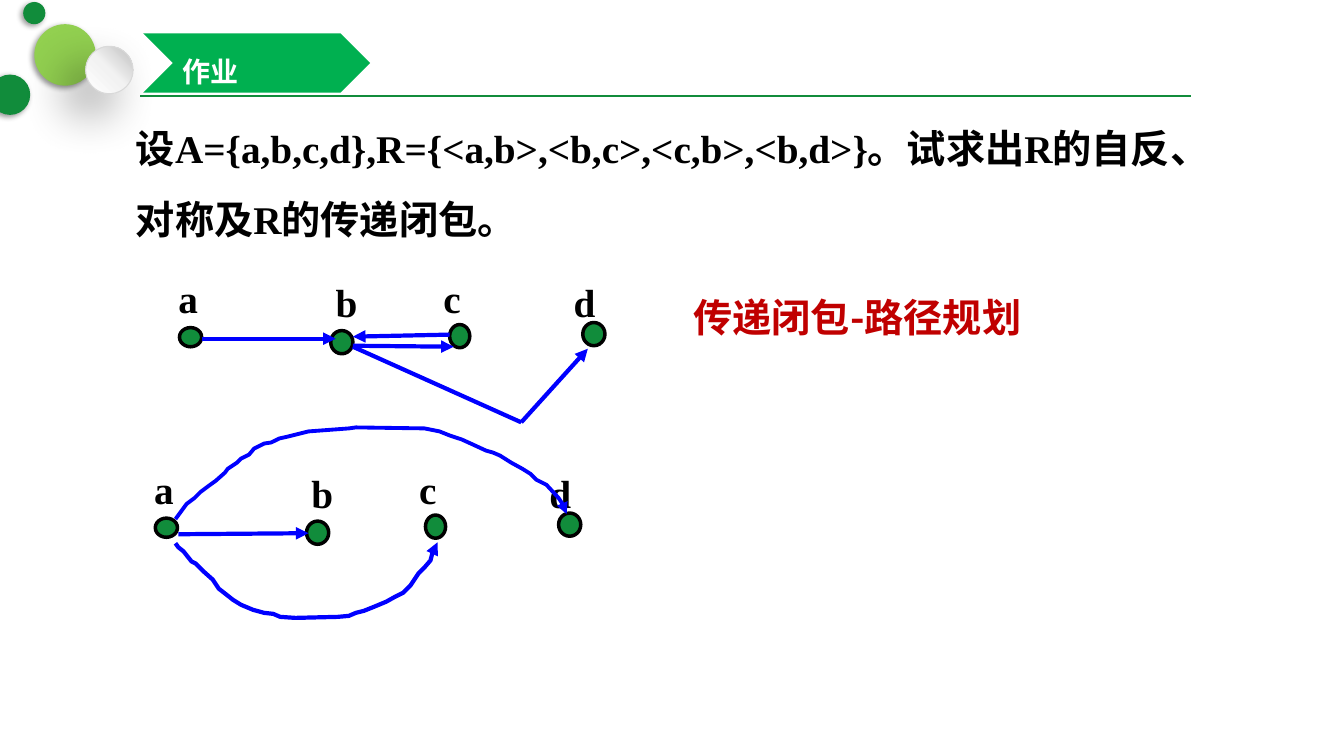
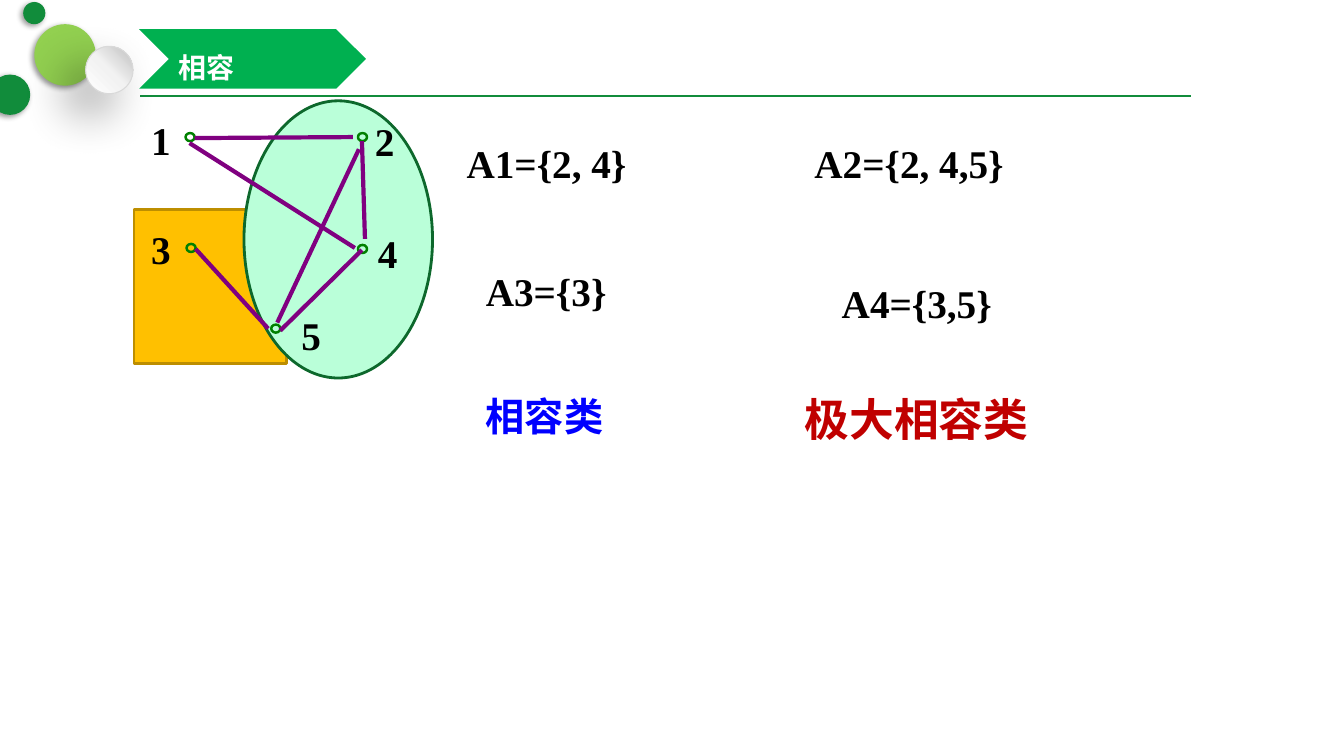
import pptx
import pptx.dml.color
import pptx.enum.shapes
import pptx.enum.text
import pptx.oxml
import pptx.oxml.ns
import pptx.util

Inches = pptx.util.Inches
Pt = pptx.util.Pt
RGBColor = pptx.dml.color.RGBColor
MSO_SHAPE = pptx.enum.shapes.MSO_SHAPE
qn = pptx.oxml.ns.qn

GREEN = RGBColor(0x11, 0x8C, 0x3B)
LIME = RGBColor(0x92, 0xD0, 0x50)
BANNER = RGBColor(0x00, 0xB0, 0x50)
RING = RGBColor(0x00, 0x80, 0x00)
MINT = RGBColor(0xBA, 0xFF, 0xD9)
DARK_GREEN = RGBColor(0x0D, 0x68, 0x2C)
AMBER = RGBColor(0xFF, 0xC0, 0x00)
DARK_AMBER = RGBColor(0xBD, 0x8E, 0x00)
SILVER = RGBColor(0xD9, 0xD9, 0xD9)
BLUE = RGBColor(0x00, 0x00, 0xFF)
PURPLE = RGBColor(0x80, 0x00, 0x80)
RED = RGBColor(0xC0, 0x00, 0x00)
BLACK = RGBColor(0x00, 0x00, 0x00)
WHITE = RGBColor(0xFF, 0xFF, 0xFF)

SERIF = "Times New Roman"
HAN = "Noto Sans CJK SC"
BALL_STOPS = ((0, "FFFFFF"), (50000, "F2F2F2"), (100000, "BFBFBF"))


# XML helpers
def add_child(parent, tag, **attrs):
    el = parent.makeelement(qn(tag), attrs)
    parent.append(el)
    return el


def add_arrowhead(line):
    add_child(line._get_or_add_ln(), "a:tailEnd", type="triangle")


def cast_shadow(sp, blur, dist):
    effects = sp._element.spPr.find(qn("a:effectLst"))
    shadow = add_child(effects, "a:outerShdw", blurRad=str(Pt(blur)),
                       dist=str(Pt(dist)), dir="8100000", algn="tr",
                       rotWithShape="0")
    colour = add_child(shadow, "a:srgbClr", val="000000")
    add_child(colour, "a:alpha", val="40000")


def fill_gradient(sp, stops):
    sp.fill.gradient()
    sp.fill.gradient_angle = 45
    gs_list = sp._element.spPr.find(".//" + qn("a:gsLst"))
    for gs in list(gs_list):
        gs_list.remove(gs)
    for pos, colour in stops:
        add_child(add_child(gs_list, "a:gs", pos=str(pos)),
                  "a:srgbClr", val=colour)


# Element kinds
def add_shape(s, kind, box, fill=None, line=None, width=1):
    sp = s.shapes.add_shape(kind, *map(Inches, box))
    sp.shadow.inherit = False
    if fill is None:
        sp.fill.background()
    else:
        sp.fill.solid()
        sp.fill.fore_color.rgb = fill
    if line is None:
        sp.line.fill.background()
    else:
        sp.line.color.rgb = line
        sp.line.width = Pt(width)
    return sp


def write(tf, text, size=28, font=SERIF, color=BLACK, spacing=1.5):
    p = tf.paragraphs[0]
    p.alignment = pptx.enum.text.PP_ALIGN.LEFT
    p.line_spacing = spacing
    r = p.add_run()
    r.text = text
    r.font.size = Pt(size)
    r.font.bold = True
    r.font.color.rgb = color
    r.font.name = font
    add_child(r._r.get_or_add_rPr(), "a:ea", typeface=HAN)


def add_text(s, box, text, wrap=False, **style):
    tf = s.shapes.add_textbox(*map(Inches, box)).text_frame
    tf.word_wrap = wrap
    write(tf, text, **style)


def add_line(s, start, end, color, width=3, arrow=False):
    cx = s.shapes.add_connector(pptx.enum.shapes.MSO_CONNECTOR.STRAIGHT,
                                *map(Inches, start + end))
    cx.line.color.rgb = color
    cx.line.width = Pt(width)
    if arrow:
        add_arrowhead(cx.line)
    add_child(cx._element.spPr, "a:effectLst")


def add_curved_arrow(s, points, width):
    pts = [(Inches(x), Inches(y)) for x, y in points]
    builder = s.shapes.build_freeform(*pts[0], scale=1.0)
    builder.add_line_segments(pts[1:], close=False)
    sp = builder.convert_to_shape()
    sp.shadow.inherit = False
    sp.fill.background()
    sp.line.color.rgb = BLUE
    sp.line.width = Pt(width)
    add_arrowhead(sp.line)


def add_vertices(s, dx=0, dy=0):
    """Four labelled vertices a to d, moved by dx and dy."""
    for label, x, y, w, h, tx, ty, tw in (
            ("a", 1.78, 3.25, 0.22, 0.19, 1.67, 2.44, 0.40),
            ("b", 3.28, 3.28, 0.22, 0.23, 3.23, 2.48, 0.42),
            ("c", 4.46, 3.22, 0.20, 0.23, 4.30, 2.44, 0.37),
            ("d", 5.78, 3.20, 0.22, 0.23, 5.59, 2.48, 0.42)):
        add_shape(s, MSO_SHAPE.OVAL, (x + dx, y + dy, w, h), GREEN, BLACK, 2.5)
        add_text(s, (tx + dx, ty + dy, tw, 0.73), label)


# Shared decoration and title
def add_base_slide(prs):
    s = prs.slides.add_slide(prs.slide_layouts[6])
    add_line(s, (1.39, 0.95), (11.81, 0.95), GREEN, 1.25)
    for x, y, d, fill in ((0.34, 0.24, 0.61, LIME), (-0.1, 0.74, 0.4, GREEN),
                          (0.85, 0.46, 0.47, None), (0.23, 0.02, 0.22, GREEN)):
        sp = add_shape(s, MSO_SHAPE.OVAL, (x, y, d, d), fill)
        if fill is None:
            fill_gradient(sp, BALL_STOPS)
            sp.line.color.rgb = SILVER
            sp.line.width = Pt(0.75)
            cast_shadow(sp, 35, 20)
        else:
            cast_shadow(sp, 4, 2)
    return s


def add_title(s, x, y, text):
    sp = add_shape(s, MSO_SHAPE.CHEVRON, (x, y, 2.25, 0.59), BANNER)
    sp.text_frame.vertical_anchor = pptx.enum.text.MSO_ANCHOR.MIDDLE
    write(sp.text_frame, text, size=20, font=HAN, color=WHITE)


# Slides
def add_homework_slide(prs):
    s = add_base_slide(prs)
    add_text(s, (1.25, 0.95, 10.92, 1.45),
             "设A={a,b,c,d},R={<a,b>,<b,c>,<c,b>,<b,d>}。"
             "试求出R的自反、对称及R的传递闭包。", wrap=True)

    # Relation R
    add_vertices(s)
    for start, end, arrow in (((2, 3.36), (3.33, 3.36), True),
                              ((3.5, 3.43), (4.5, 3.44), True),
                              ((4.46, 3.32), (3.5, 3.34), True),
                              ((3.5, 3.44), (5.17, 4.19), False),
                              ((5.17, 4.19), (5.83, 3.46), True)):
        add_line(s, start, end, BLUE, arrow=arrow)
    add_title(s, 1.42, 0.33, "作业")
    add_text(s, (6.78, 2.63, 3.52, 0.72), "传递闭包-路径规划",
             wrap=True, font=HAN, color=RED)

    # Paths from a
    add_vertices(s, -0.24, 1.89)
    add_line(s, (1.77, 5.3), (3.06, 5.29), BLUE, arrow=True)
    add_curved_arrow(s, (
        (1.74, 5.39), (1.77, 5.43), (1.82, 5.47), (1.9, 5.57), (1.94, 5.59),
        (2.02, 5.67), (2.11, 5.75), (2.17, 5.84), (2.26, 5.91), (2.31, 5.95),
        (2.39, 6), (2.51, 6.05), (2.62, 6.08), (2.71, 6.09), (2.78, 6.12),
        (2.93, 6.13), (3.35, 6.12), (3.46, 6.11), (3.53, 6.08), (3.61, 6.06),
        (3.71, 6.02), (3.83, 5.97), (3.92, 5.92), (4, 5.88), (4.07, 5.81),
        (4.15, 5.69), (4.21, 5.63), (4.27, 5.56), (4.29, 5.48), (4.34, 5.38)),
        3)
    add_curved_arrow(s, (
        (1.74, 5.15), (1.85, 5), (1.93, 4.94), (1.99, 4.88), (2.07, 4.82),
        (2.14, 4.77), (2.23, 4.69), (2.26, 4.65), (2.35, 4.59), (2.39, 4.55),
        (2.47, 4.51), (2.52, 4.45), (2.62, 4.4), (2.69, 4.39), (2.77, 4.35),
        (2.86, 4.33), (3.02, 4.29), (3.06, 4.28), (3.46, 4.25), (3.53, 4.24),
        (4.21, 4.25), (4.36, 4.28), (4.46, 4.32), (4.58, 4.36), (4.69, 4.41),
        (4.82, 4.47), (4.89, 4.49), (4.96, 4.52), (5.07, 4.59), (5.18, 4.65),
        (5.26, 4.7), (5.32, 4.76), (5.42, 4.81), (5.54, 4.94), (5.58, 5),
        (5.62, 5.1)), 2.75)


def add_compatibility_slide(prs):
    s = add_base_slide(prs)
    add_shape(s, MSO_SHAPE.RECTANGLE, (1.33, 2.08, 1.51, 1.53),
              AMBER, DARK_AMBER, 2)
    add_shape(s, MSO_SHAPE.OVAL, (2.42, 1, 1.87, 2.75), MINT, DARK_GREEN, 2)
    add_title(s, 1.38, 0.29, "相容")

    # Compatibility graph
    for x, y in ((1.84, 1.32), (1.85, 2.42), (3.55, 1.32), (3.55, 2.43),
                 (2.69, 3.22)):
        add_shape(s, MSO_SHAPE.OVAL, (x, y, 0.09, 0.08), None, RING, 1.75)
    for start, end in (((3.5, 1.36), (1.93, 1.37)), ((1.88, 1.42), (3.52, 2.46)),
                       ((3.59, 1.4), (3.62, 2.37)), ((2.66, 3.26), (1.94, 2.47)),
                       ((2.78, 3.28), (3.59, 2.48)), ((3.56, 1.48), (2.75, 3.2))):
        add_line(s, start, end, PURPLE)
    for label, x, y in (("1", 1.4, 1.1), ("2", 3.62, 1.11), ("3", 1.4, 2.19),
                        ("4", 3.65, 2.23), ("5", 2.89, 3.04)):
        add_text(s, (x, y, 0.8, 0.57), label, wrap=True, spacing=1.0)

    # Compatibility classes
    for text, x, y, w in (("A1={2, 4}", 4.53, 1.1, 1.8),
                          ("A2={2, 4,5}", 7.98, 1.1, 2.1),
                          ("A3={3}", 4.72, 2.37, 1.41),
                          ("A4={3,5}", 8.25, 2.49, 1.71)):
        add_text(s, (x, y, w, 0.72), text)
    add_text(s, (4.72, 3.61, 1.38, 0.72), "相容类", color=BLUE)
    add_text(s, (7.88, 3.57, 2.45, 0.81), "极大相容类",
             size=32, font=HAN, color=RED)


def main():
    prs = pptx.Presentation()
    prs.slide_width = Inches(13.33)
    prs.slide_height = Inches(7.5)
    add_homework_slide(prs)
    add_compatibility_slide(prs)
    prs.save("out.pptx")


if __name__ == "__main__":
    main()
